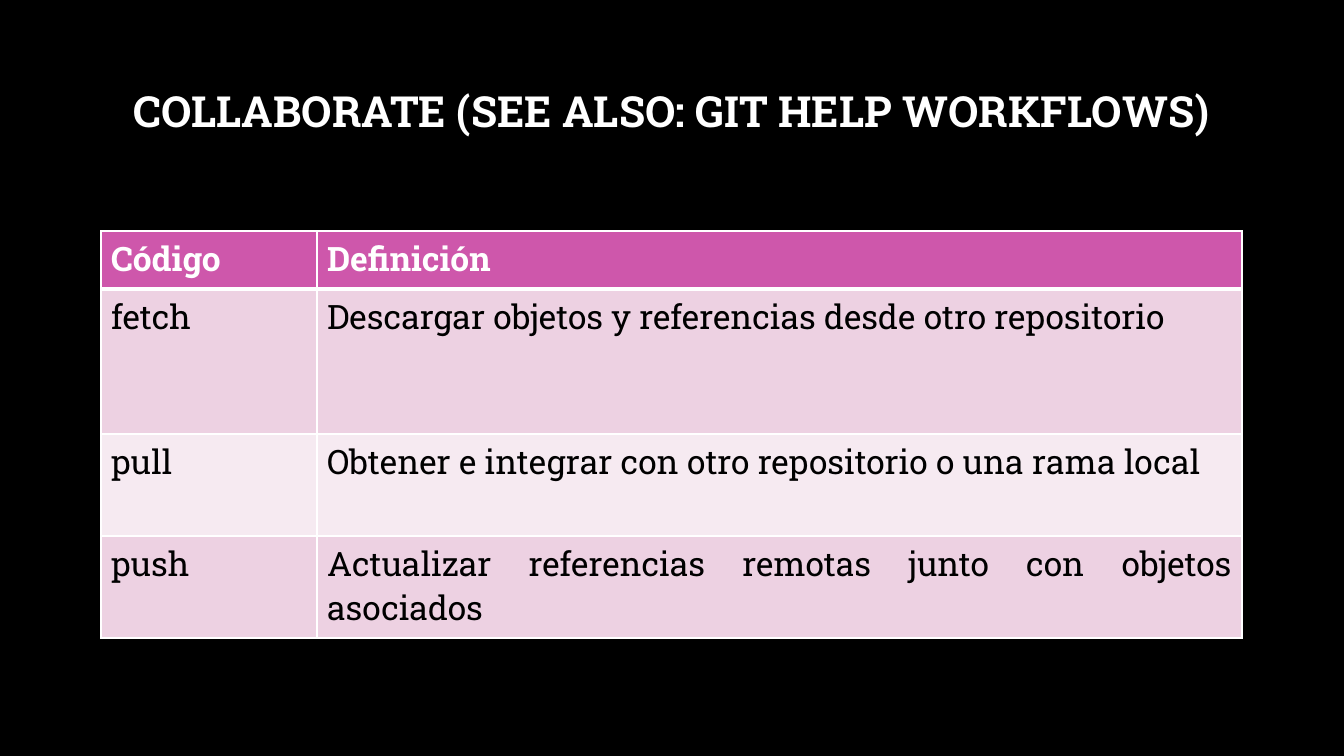
from dataclasses import dataclass

from lxml import etree
from pptx import Presentation
from pptx import util as u
from pptx.dml.color import RGBColor
from pptx.enum import text
from pptx.oxml.ns import qn

EMU_PER_PX = 914400 / 100.8


def px(n):
    return u.Emu(round(n * EMU_PER_PX))


@dataclass(frozen=True)
class Theme:
    font: str = "Roboto Slab"
    background: str = "000000"
    light: str = "FFFFFF"
    dark: str = "000000"
    header: str = "CE57AB"
    bands: tuple = ("EDD1E2", "F6EAF1")
    title_size: float = 30.6
    table_size: float = 24
    rule: float = 1
    header_rule: float = 3


class SlideBuilder:
    def __init__(self, prs, theme):
        self.theme = theme
        self.s = prs.slides.add_slide(prs.slide_layouts[6])
        fill = self.s.background.fill
        fill.solid()
        fill.fore_color.rgb = RGBColor.from_string(theme.background)

    def run(self, p, words, size, color, bold):
        r = p.add_run()
        r.text = words
        r.font.name = self.theme.font
        r.font.size = u.Pt(size)
        r.font.bold = bold
        r.font.color.rgb = RGBColor.from_string(color)

    def title(self, words, x, y, w, h, bottom):
        tf = self.s.shapes.add_textbox(px(x), px(y), px(w), px(h)).text_frame
        tf.word_wrap = True
        tf.vertical_anchor = text.MSO_ANCHOR.MIDDLE
        tf.margin_bottom = px(bottom)
        p = tf.paragraphs[0]
        p.alignment = text.PP_ALIGN.CENTER
        p.line_spacing = 0.9
        self.run(p, words, self.theme.title_size, self.theme.light, True)

    def border(self, cell, side, width):
        ln = etree.SubElement(cell._tc.get_or_add_tcPr(), qn(f"a:ln{side}"), w=str(u.Pt(width)))
        fill = etree.SubElement(ln, qn("a:solidFill"))
        etree.SubElement(fill, qn("a:srgbClr"), val=self.theme.light)

    def cell(self, cell, words, row):
        t = self.theme
        is_header = row == 0
        # Borders come before the fill in the cell properties
        widths = {
            "L": t.rule,
            "R": t.rule,
            "T": t.header_rule if row == 1 else t.rule,
            "B": t.header_rule if is_header else t.rule,
        }
        for side, width in widths.items():
            self.border(cell, side, width)
        cell.fill.solid()
        color = t.header if is_header else t.bands[(row - 1) % len(t.bands)]
        cell.fill.fore_color.rgb = RGBColor.from_string(color)
        p = cell.text_frame.paragraphs[0]
        p.alignment = text.PP_ALIGN.JUSTIFY
        self.run(p, words, t.table_size, t.light if is_header else t.dark, is_header)

    def table(self, rows, x, y, col_widths, row_heights):
        table = self.s.shapes.add_table(
            len(rows), len(col_widths), px(x), px(y),
            px(sum(col_widths)), px(sum(row_heights)),
        ).table
        for column, width in zip(table.columns, col_widths):
            column.width = px(width)
        for i, (height, entries) in enumerate(zip(row_heights, rows)):
            table.rows[i].height = px(height)
            for j, words in enumerate(entries):
                self.cell(table.cell(i, j), words, i)


COMMANDS = [
    ("Código", "Definición"),
    ("fetch", "Descargar objetos y referencias desde otro repositorio"),
    ("pull", "Obtener e integrar con otro repositorio o una rama local"),
    ("push", "Actualizar referencias remotas junto con objetos asociados"),
]


def main():
    prs = Presentation()
    prs.slide_width, prs.slide_height = px(1344), px(756)
    slide = SlideBuilder(prs, Theme())

    # Title
    slide.title("COLLABORATE (SEE ALSO: GIT HELP WORKFLOWS)", 101, 68, 1141, 146, bottom=60)

    # Command table
    slide.table(COMMANDS, 101, 231, col_widths=(216, 925), row_heights=(58, 145, 102, 102))

    prs.save("out.pptx")


if __name__ == "__main__":
    main()
